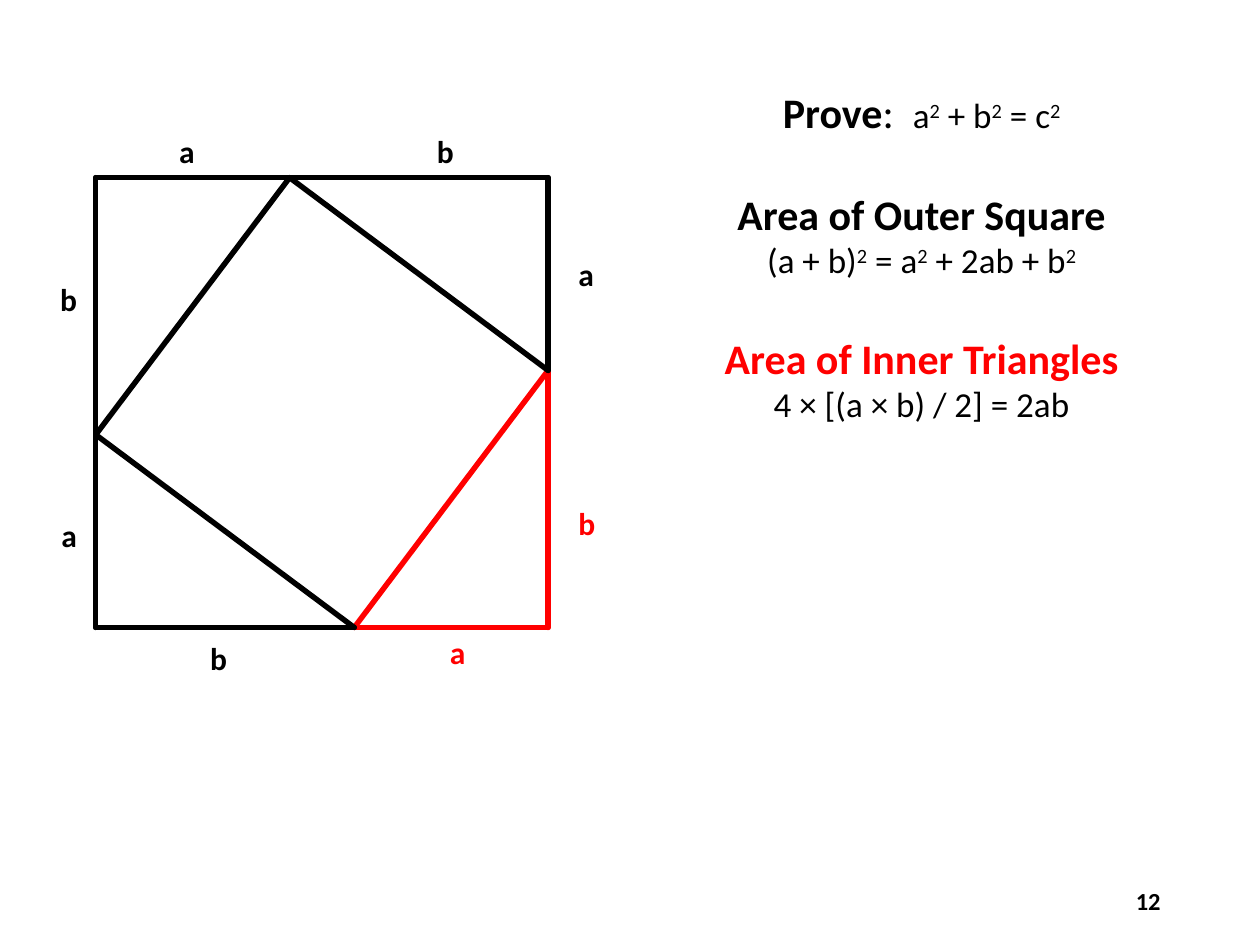
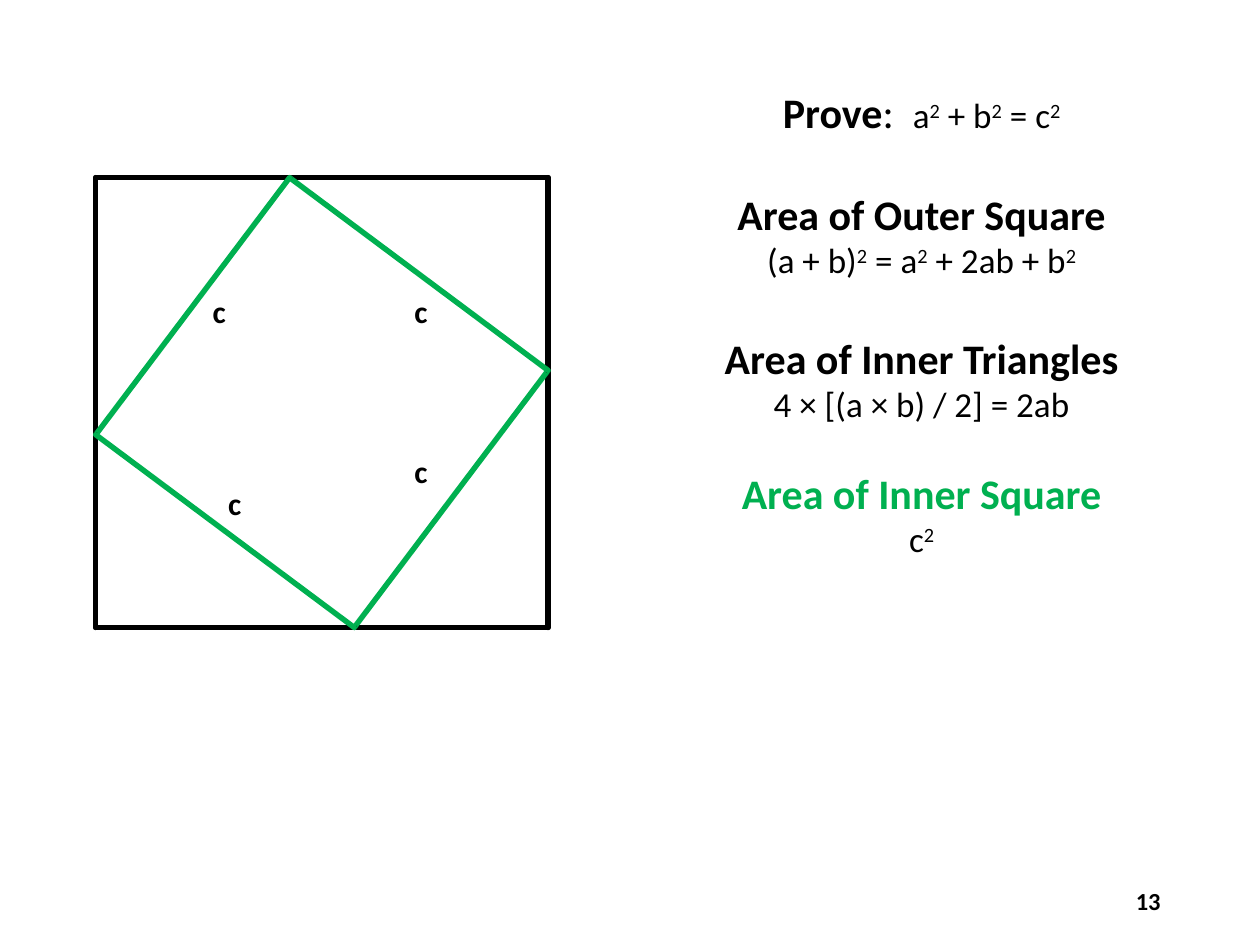
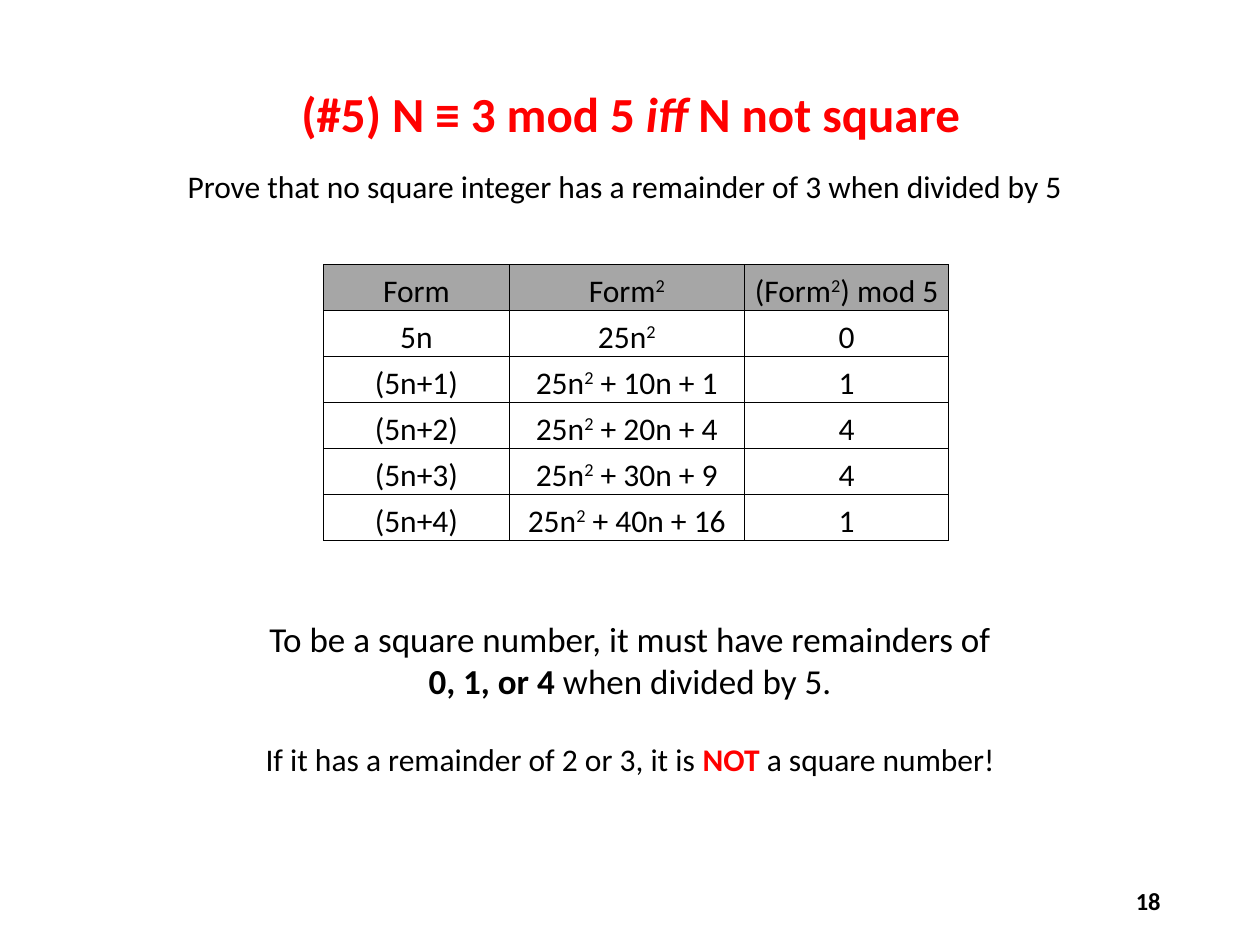
from dataclasses import dataclass

from lxml.etree import SubElement
from pptx import Presentation
from pptx.dml.color import RGBColor
from pptx.enum.shapes import MSO_CONNECTOR as Connector
from pptx.enum.text import MSO_ANCHOR as Anchor, PP_ALIGN as Align
from pptx.oxml.ns import qn
from pptx.util import Inches, Pt


@dataclass(frozen=True)
class Theme:
    """Colours, type sizes and line widths of the deck."""
    font: str = "Calibri"
    ink: str = "000000"
    alert: str = "FF0000"
    accent: str = "00B050"
    header: str = "A6A6A6"
    title: int = 28
    heading: int = 24
    formula: int = 20
    body: int = 18
    footer: int = 14
    stroke: float = 3.13
    border: float = 0.5
    leading: float = 1.22


@dataclass(frozen=True)
class Box:
    """A region measured in the columns and rows of the slide grid."""
    left: float
    top: float
    width: float
    height: float

    def point(self, across, down):
        """Return the point at the given shares of the box."""
        return self.left + across * self.width, self.top + down * self.height

    def frame(self):
        """Return the box in slide units."""
        return [grid(side) for side in (self.left, self.top, self.width, self.height)]


THEME = Theme()
COLUMNS, ROWS, CELL = 100, 75, 0.1
PROOF = Box(50, 6.4, 46.3, 31.3)
DIAGRAM = Box(7.6, 14.1, 35.9, 35.7)
TITLE = Box(15.6, 6.1, 68.9, 5.7)
CLAIM = Box(13.9, 12.8, 72.2, 4)
FORMS = Box(25.7, 21, 49.6, 21.9)
CONCLUSION = Box(13.4, 48.5, 73.2, 17.2)
FOOTER = Box(70.6, 69.5, 22.5, 4)

SHORT, LONG = 3, 4
SIDE = SHORT + LONG
TRIANGLES = [
    ((SIDE, SIDE), (LONG, SIDE), (SIDE, SHORT)),
    ((SIDE, 0), (SIDE, SHORT), (SHORT, 0)),
    ((0, 0), (SHORT, 0), (0, LONG)),
    ((0, SIDE), (0, LONG), (LONG, SIDE)),
]
LEG_LABELS = [
    ("a", 5.48, 7.08, THEME.alert), ("a", 7.47, 1.2, THEME.ink),
    ("a", 1.29, -0.71, THEME.ink), ("a", -0.53, 5.27, THEME.ink),
    ("b", 7.47, 5.08, THEME.alert), ("b", 5.28, -0.71, THEME.ink),
    ("b", -0.55, 1.59, THEME.ink), ("b", 1.77, 7.18, THEME.ink),
]
HYPOTENUSE_LABELS = [("c", column, row, THEME.ink) for column, row in
                     ((4.93, 4.27), (4.93, 1.78), (1.81, 1.78), (2.05, 4.76))]

OUTER = ("Area of Outer Square", "(a + b)^2 = a^2 + 2ab + b^2", THEME.ink, THEME.heading)
INNER = ("Area of Inner Triangles", "4 × [(a × b) / 2] = 2ab")
CENTRE = ("Area of Inner Square", "c^2", THEME.accent, THEME.formula)

FORM_SHARES = (1.47, 1.87, 1.62)
FORM_ROWS = [
    ("Form", "Form^2", "(Form^2) mod 5"),
    ("5n", "25n^2", "0"),
    ("(5n+1)", "25n^2 + 10n + 1", "1"),
    ("(5n+2)", "25n^2 + 20n + 4", "4"),
    ("(5n+3)", "25n^2 + 30n + 9", "4"),
    ("(5n+4)", "25n^2 + 40n + 16", "1"),
]


def grid(count):
    """Turn grid steps into slide units."""
    return Inches(count * CELL)


def write(para, text, size=THEME.body, color=THEME.ink, bold=False, italic=False):
    """Add text to a paragraph, raising each character that follows a caret."""
    first, *rest = text.split("^")
    pieces = [(first, False)]
    for part in rest:
        pieces += [(part[:1], True), (part[1:], False)]
    for piece, raised in pieces:
        if not piece:
            continue
        span = para.add_run()
        span.text = piece
        span.font.name = THEME.font
        span.font.size = Pt(size)
        span.font.bold = bold
        span.font.italic = italic
        span.font.color.rgb = RGBColor.from_string(color)
        if raised:
            span.font._element.set("baseline", "30000")


def add_lines(shapes, box, lines, align=Align.CENTER, anchor=Anchor.TOP, inset=True, wrap=True):
    """Fill a text box with lines, each a gap in points and its formatted spans."""
    frame = shapes.add_textbox(*box.frame()).text_frame
    frame.word_wrap = wrap
    frame.vertical_anchor = anchor
    if not inset:
        frame.margin_left = frame.margin_right = frame.margin_top = frame.margin_bottom = 0
    for index, (gap, spans) in enumerate(lines):
        para = frame.add_paragraph() if index else frame.paragraphs[0]
        para.alignment = align
        if gap:
            para.space_before = Pt(round(gap * THEME.leading, 1))
        for text, style in spans:
            write(para, text, **style)


def add_edge(shapes, start, end, color):
    """Draw one round-capped edge between two grid points."""
    edge = shapes.add_connector(Connector.STRAIGHT, *map(grid, start + end))
    edge.line.width = Pt(THEME.stroke)
    edge.line.color.rgb = RGBColor.from_string(color)
    edge.line._get_or_add_ln().set("cap", "rnd")
    SubElement(edge._element.spPr, qn("a:effectLst"))


def add_diagram(page, box, labels, marked=THEME.ink, slant=None):
    """Draw the nested squares as four triangles, with the first one marked."""
    shapes = page.shapes.add_group_shape().shapes
    for index, triangle in enumerate(TRIANGLES):
        color = THEME.ink if index else marked
        corner, near, far = [box.point(x / SIDE, y / SIDE) for x, y in triangle]
        add_edge(shapes, near, corner, color)
        add_edge(shapes, corner, far, color)
        add_edge(shapes, near, far, slant or color)
    for text, column, row, color in labels:
        place = Box(*box.point(column / SIDE, row / SIDE), 2.7, 3.8)
        style = dict(color=color, bold=True)
        add_lines(shapes, place, [(0, [(text, style)])], Align.LEFT, inset=False, wrap=False)


def add_proof(page, box, steps):
    """Write the statement and the steps of the proof."""
    strong = dict(size=THEME.heading, bold=True)
    plain = dict(size=THEME.formula)
    lines = [(0, [("Prove", strong), (":  ", dict(size=THEME.heading)),
                  ("a^2 + b^2 = c^2", plain)])]
    for heading, formula, color, gap in steps:
        lines += [(gap, [(heading, dict(strong, color=color))]), (0, [(formula, plain)])]
    add_lines(page.shapes, box, lines)


def add_footer(page, box, number):
    """Write the slide number."""
    style = dict(size=THEME.footer, bold=True)
    add_lines(page.shapes, box, [(0, [(number, style)])], Align.RIGHT, Anchor.MIDDLE)


def add_borders(cell):
    """Outline a table cell on all four sides."""
    for side in ("a:lnL", "a:lnR", "a:lnT", "a:lnB"):
        line = SubElement(cell._tc.get_or_add_tcPr(), qn(side), w=str(Pt(THEME.border)))
        SubElement(SubElement(line, qn("a:solidFill")), qn("a:srgbClr"), val=THEME.ink)


def add_forms(page, box):
    """Build the table of forms, squares and remainders."""
    table = page.shapes.add_table(len(FORM_ROWS), len(FORM_SHARES), *box.frame()).table
    table.first_row = table.horz_banding = False
    for column, share in zip(table.columns, FORM_SHARES):
        column.width = grid(box.width * share / sum(FORM_SHARES))
    for index, (row, texts) in enumerate(zip(table.rows, FORM_ROWS)):
        row.height = grid(box.height / len(FORM_ROWS))
        for cell, text in zip(row.cells, texts):
            cell.margin_left = cell.margin_right = cell.margin_top = Inches(0.01)
            cell.margin_bottom = 0
            cell.vertical_anchor = Anchor.BOTTOM
            add_borders(cell)
            if index:
                cell.fill.background()
            else:
                cell.fill.solid()
                cell.fill.fore_color.rgb = RGBColor.from_string(THEME.header)
            para = cell.text_frame.paragraphs[0]
            para.alignment = Align.CENTER
            write(para, text)


def add_page(deck, number):
    """Add a blank page with its number."""
    page = deck.slides.add_slide(deck.slide_layouts[6])
    add_footer(page, FOOTER, number)
    return page


def add_proof_page(deck, number, steps, labels, **colors):
    """Add a page with the diagram beside the proof."""
    page = add_page(deck, number)
    add_proof(page, PROOF, steps)
    add_diagram(page, DIAGRAM, labels, **colors)


def add_remainder_page(deck, number):
    """Add the page on remainders of square numbers."""
    page = add_page(deck, number)
    title = dict(size=THEME.title, color=THEME.alert, bold=True)
    large = dict(size=THEME.formula)
    add_lines(page.shapes, TITLE, [(0, [
        ("(#5) N ≡ 3 mod 5 ", title), ("iff", dict(title, italic=True)),
        (" N not square", title)])])
    add_lines(page.shapes, CLAIM, [(0, [
        ("Prove that no square integer has a remainder of 3 when divided by 5", {})])], Align.LEFT)
    add_forms(page, FORMS)
    add_lines(page.shapes, CONCLUSION, [
        (0, [("To be a square number, it must have remainders of", large)]),
        (0, [("0, 1, or 4 ", dict(large, bold=True)), ("when divided by 5.", large)]),
        (THEME.body, [("If it has a remainder of 2 or 3, it is ", {}),
                      ("NOT ", dict(color=THEME.alert, bold=True)),
                      ("a square number!", {})]),
    ])


def main():
    """Build and save the deck."""
    deck = Presentation()
    deck.slide_width, deck.slide_height = grid(COLUMNS), grid(ROWS)
    add_proof_page(deck, "12", [OUTER, (*INNER, THEME.alert, THEME.heading)],
                   LEG_LABELS, marked=THEME.alert)
    add_proof_page(deck, "13", [OUTER, (*INNER, THEME.ink, THEME.heading), CENTRE],
                   HYPOTENUSE_LABELS, slant=THEME.accent)
    add_remainder_page(deck, "18")
    deck.save("out.pptx")


if __name__ == "__main__":
    main()
